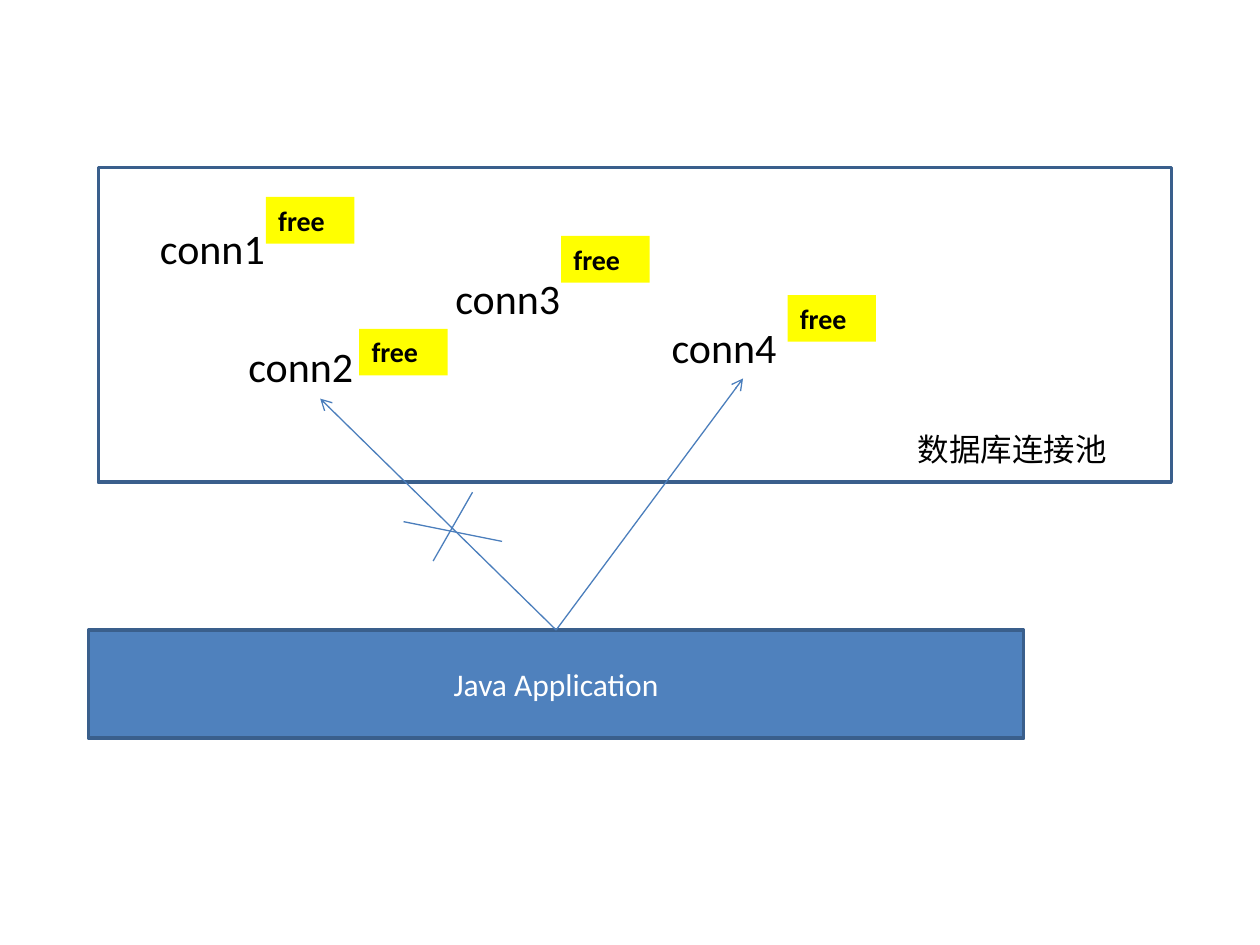
from lxml.etree import SubElement
from pptx import Presentation
from pptx.dml.color import RGBColor
from pptx.enum.shapes import MSO_CONNECTOR as Connector, MSO_SHAPE as Shape
from pptx.enum.text import MSO_ANCHOR as Anchor, PP_ALIGN as Align
from pptx.oxml.ns import qn
from pptx.util import Pt

BLACK = RGBColor(0x00, 0x00, 0x00)
WHITE = RGBColor(0xFF, 0xFF, 0xFF)
BLUE = RGBColor(0x4F, 0x81, 0xBD)
BORDER = RGBColor(0x3A, 0x5F, 0x8C)
ARROW = RGBColor(0x4B, 0x7E, 0xBC)
YELLOW = RGBColor(0xFF, 0xFF, 0x00)


class Diagram:
    """Draws boxes, labels and lines in one style on the current slide."""

    latin = "Calibri"
    chinese = "Noto Sans CJK SC"

    def __init__(self, slide):
        self.slide = slide

    def add_text(self, shape, text, size, color=BLACK, bold=False,
                 align=Align.LEFT, anchor=Anchor.TOP, font=latin):
        frame = shape.text_frame
        frame.word_wrap = True
        frame.vertical_anchor = anchor
        paragraph = frame.paragraphs[0]
        paragraph.alignment = align
        run = paragraph.add_run()
        run.text = text
        run.font.name = font
        run.font.size = Pt(size)
        run.font.bold = bold
        run.font.color.rgb = color
        SubElement(run.font._element, qn("a:ea"), typeface=self.chinese)

    def box(self, left, top, width, height, fill=None, border=None):
        shape = self.slide.shapes.add_shape(
            Shape.RECTANGLE, Pt(left), Pt(top), Pt(width), Pt(height))
        shape.shadow.inherit = False
        if fill is None:
            shape.fill.background()
        else:
            shape.fill.solid()
            shape.fill.fore_color.rgb = fill
        if border is None:
            shape.line.fill.background()
        else:
            shape.line.color.rgb = border
            shape.line.width = Pt(2)
        return shape

    def label(self, text, left, top, width, height, size, font=latin):
        area = self.slide.shapes.add_textbox(
            Pt(left), Pt(top), Pt(width), Pt(height))
        self.add_text(area, text, size, font=font)

    def line(self, start, end, arrow=False):
        connector = self.slide.shapes.add_connector(
            Connector.STRAIGHT, *(Pt(value) for value in (*start, *end)))
        connector.line.color.rgb = ARROW
        connector.line.width = Pt(0.75)
        properties = connector._element.spPr
        if arrow:
            SubElement(properties.find(qn("a:ln")), qn("a:tailEnd"), type="arrow")
        SubElement(properties, qn("a:effectLst"))


deck = Presentation()
deck.slide_width, deck.slide_height = Pt(720), Pt(540)
diagram = Diagram(deck.slides.add_slide(deck.slide_layouts[6]))

diagram.box(56.25, 95.6, 613.1, 180, border=BORDER)
diagram.label("数据库连接池", 517.5, 241.9, 146.2, 29, 18, font=Diagram.chinese)

connections = {
    "conn1": ((84.3, 123.8), (151.9, 112.5)),
    "conn2": ((134.8, 191.3), (205.2, 187.9)),
    "conn3": ((253.1, 151.9), (320.6, 134.8)),
    "conn4": ((376.7, 180), (450, 168.6)),
}
for connection, (position, _) in connections.items():
    diagram.label(connection, *position, 95.6, 36, 24)

application = diagram.box(50.6, 360, 534.4, 61.9, BLUE, BORDER)
diagram.add_text(application, "Java Application", 18, WHITE,
                 align=Align.CENTER, anchor=Anchor.MIDDLE)

request = (317.8, 360)
diagram.line(request, (183, 227.8), arrow=True)
for _, position in connections.values():
    status = diagram.box(*position, 50.6, 26.7, YELLOW)
    diagram.add_text(status, "free", 16, bold=True)
diagram.line(request, (424.6, 216.3), arrow=True)

diagram.line((270, 281.3), (247.5, 320.6))
diagram.line((230.6, 298.1), (286.9, 309.4))

deck.save("out.pptx")
